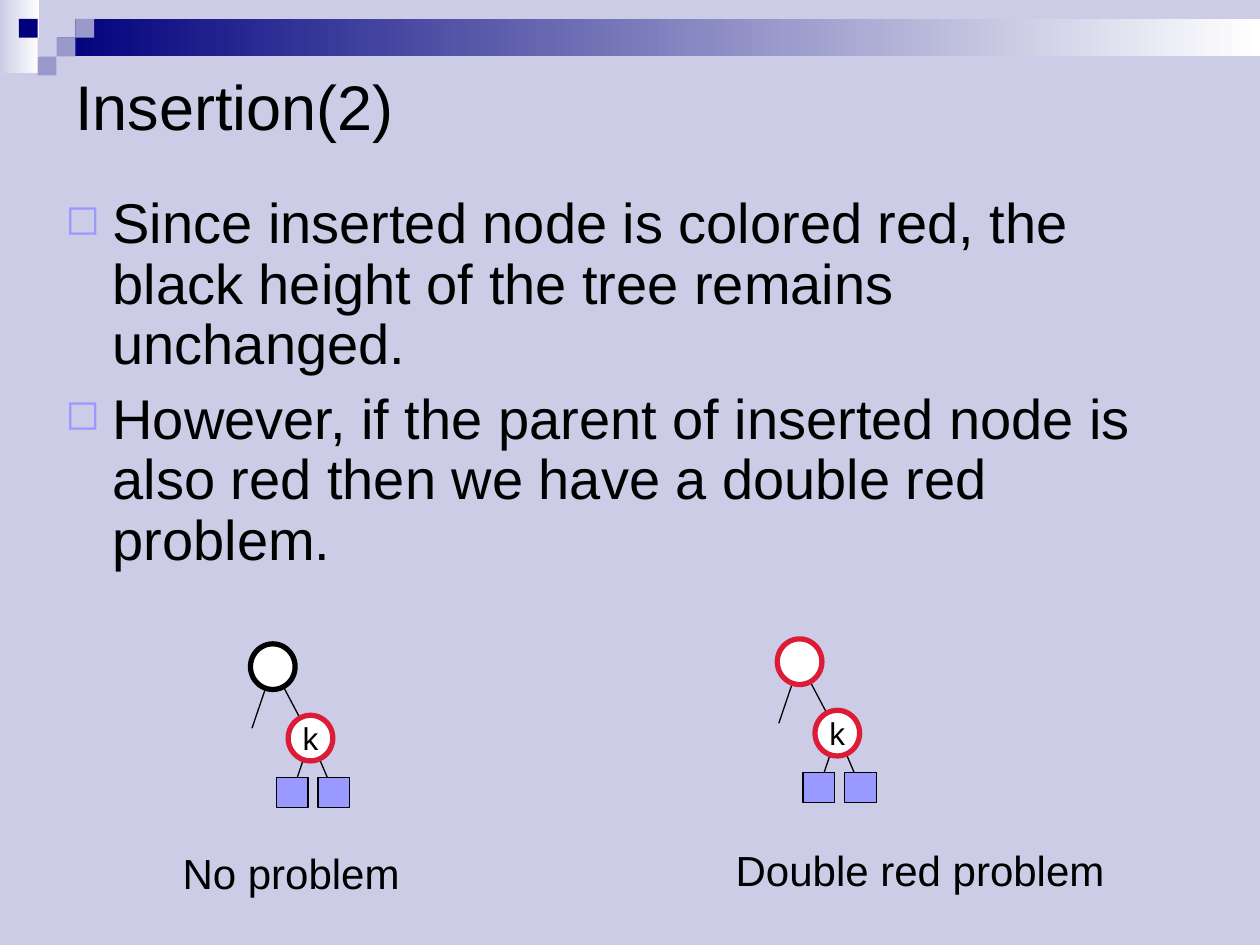
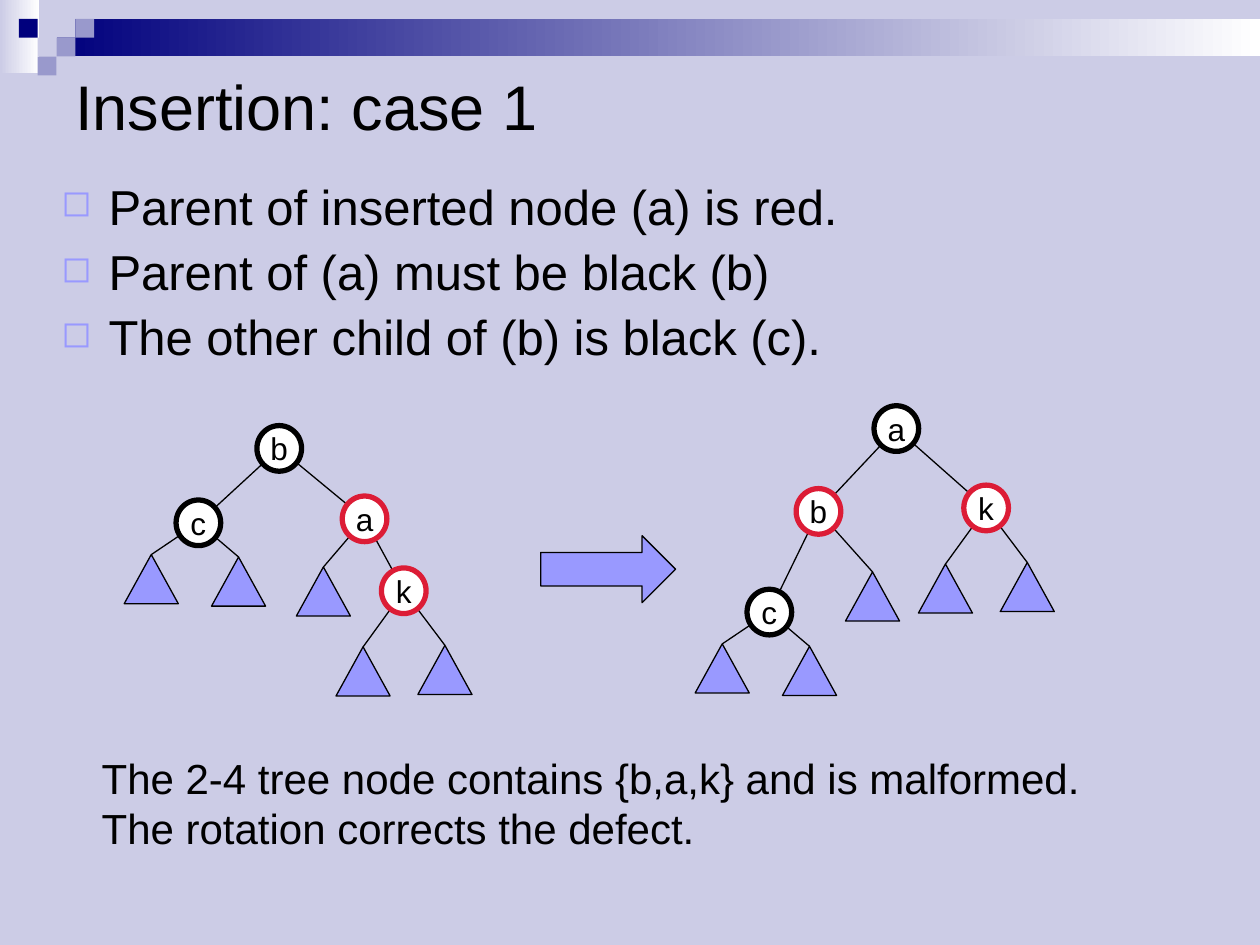
"""Build two slides on red-black tree insertion."""
import lxml.etree
import pptx
import pptx.dml.color
import pptx.enum.shapes
import pptx.enum.text
import pptx.oxml.ns
import pptx.util

Cm = pptx.util.Cm
Pt = pptx.util.Pt
RGBColor = pptx.dml.color.RGBColor
Preset = pptx.enum.shapes.MSO_SHAPE
Anchor = pptx.enum.text.MSO_ANCHOR
qn = pptx.oxml.ns.qn

LAVENDER = RGBColor(0xCC, 0xCC, 0xE6)
NAVY = RGBColor(0x00, 0x00, 0x7D)
SLATE = RGBColor(0x99, 0x99, 0xCC)
PERIWINKLE = RGBColor(0x99, 0x99, 0xFF)
RED = RGBColor(0xDC, 0x1C, 0x36)
BLACK = RGBColor(0, 0, 0)
WHITE = RGBColor(0xFF, 0xFF, 0xFF)

FONT = "Arial"
CELL = 0.38
CHECKERS = [(3, 1, LAVENDER), (4, 0, LAVENDER), (4, 1, SLATE), (2, 2, LAVENDER),
            (1, 1, NAVY), (3, 2, SLATE), (2, 3, SLATE)]
NODE_WIDTH, NODE_HEIGHT = 0.9, 0.92


def draw(page, preset, left, top, width, height, fill, line=None, weight=0.75):
    """Add a preset shape, with a plain or a two-colour fill."""
    shape = page.shapes.add_shape(preset, Cm(left), Cm(top), Cm(width), Cm(height))
    shape.shadow.inherit = False
    if isinstance(fill, tuple) and not isinstance(fill, RGBColor):
        shape.fill.gradient()
        shape.fill.gradient_angle = 180
        for stop, color in zip(shape.fill.gradient_stops, fill):
            stop.color.rgb = color
    else:
        shape.fill.solid()
        shape.fill.fore_color.rgb = fill
    if line is None:
        shape.line.fill.background()
    else:
        shape.line.color.rgb = line
        shape.line.width = Pt(weight)
    return shape


def write(page, left, top, width, height, lines, size, wrap=False, bullets=False):
    """Add a text box, one paragraph per line."""
    box = page.shapes.add_textbox(Cm(left), Cm(top), Cm(width), Cm(height))
    box.text_frame.word_wrap = wrap
    box.text_frame.text = "\n".join(lines)
    for para in box.text_frame.paragraphs:
        if bullets:
            para.line_spacing = 0.9
            para.space_before = Pt(size / 4)
            marks = para._p.get_or_add_pPr()
            marks.set("marL", str(Cm(0.95)))
            marks.set("indent", str(-Cm(0.95)))
            tint = lxml.etree.SubElement(marks, qn("a:buClr"))
            lxml.etree.SubElement(tint, qn("a:srgbClr"), val=str(PERIWINKLE))
            lxml.etree.SubElement(marks, qn("a:buSzPct"), val="75000")
            lxml.etree.SubElement(marks, qn("a:buChar"), char="◻")
        para.font.name = FONT
        para.font.size = Pt(size)
        para.font.color.rgb = BLACK
    return box


deck = pptx.Presentation()
deck.slide_width, deck.slide_height = Cm(25.4), Cm(19.05)

pages = []
for title in ["Insertion(2)", "Insertion: case 1"]:
    page = deck.slides.add_slide(deck.slide_layouts[6])
    page.background.fill.solid()
    page.background.fill.fore_color.rgb = LAVENDER
    draw(page, Preset.RECTANGLE, 0, 0, 0.79, 1.47, (WHITE, LAVENDER))
    draw(page, Preset.RECTANGLE, 3 * CELL, CELL, 24.26, 2 * CELL, (WHITE, NAVY))
    for column, row, color in CHECKERS:
        draw(page, Preset.RECTANGLE, column * CELL, row * CELL, CELL, CELL, color)
    heading = write(page, 1.27, 1.27, 22.86, 1.7, [title], 36, wrap=True)
    heading.text_frame.vertical_anchor = Anchor.MIDDLE
    pages.append(page)
problem_page, case_page = pages

write(problem_page, 1.07, 3.81, 22.86, 8.59, [
    "Since inserted node is colored red, the black height of the tree remains unchanged.",
    "However, if the parent of inserted node is also red then we have a double red problem.",
], 32, wrap=True, bullets=True)
write(problem_page, 3.43, 16.97, 4.88, 1.27, ["No problem"], 24)
write(problem_page, 14.58, 16.89, 7.95, 1.27, ["Double red problem"], 24)

write(case_page, 0.99, 3.56, 22.86, 4.01, [
    "Parent of inserted node (a) is red.",
    "Parent of (a) must be black (b)",
    "The other child of (b) is black (c).",
], 28, wrap=True, bullets=True)
draw(case_page, Preset.RIGHT_ARROW, 10.9, 10.8, 2.72, 1.35, PERIWINKLE, BLACK)
write(case_page, 1.8, 15.04, 20.4, 2.29, [
    "The 2-4 tree node contains {b,a,k} and is malformed.",
    "The rotation corrects the defect.",
], 24)

# Nodes map a label to centre, ring and parent; leaves hold a parent and an offset.
SQUARE = (Preset.RECTANGLE, 0.64, 0.61, 0.5)
TRIANGLE = (Preset.FLOWCHART_EXTRACT, 1.09, 0.99, 0)
trees = []
for x, y, ring in [(5.5, 13.44, BLACK), (16.12, 13.34, RED)]:
    nodes = {"": (x, y, ring, None), "k": (x + 0.76, y + 1.44, RED, "")}
    leaves = [("k", -0.37, 1.1), ("k", 0.47, 1.1)]
    stubs = [("", -0.42, 1.24)]
    trees.append((problem_page, nodes, SQUARE, leaves, stubs))

c_leaves = [("c", -0.95, 0.64), ("c", 0.81, 0.69)]
k_leaves = [("k", -0.82, 1.13), ("k", 0.83, 1.1)]
before = {"b": (5.63, 9.04, BLACK, None), "c": (4, 10.54, BLACK, "b"),
          "a": (7.35, 10.46, RED, "b"), "k": (8.14, 11.91, RED, "a")}
after = {"a": (18.07, 8.64, BLACK, None), "b": (16.5, 10.31, RED, "a"),
         "k": (19.88, 10.24, RED, "a"), "c": (15.51, 12.34, BLACK, "b")}
for nodes, lone_leaf in [(before, ("a", -0.83, 0.97)), (after, ("b", 1.09, 1.22))]:
    trees.append((case_page, nodes, TRIANGLE, [lone_leaf] + c_leaves + k_leaves, []))

for page, nodes, (preset, width, height, joint), leaves, stubs in trees:
    edges = [(nodes[parent][:2], (x, y))
             for x, y, ring, parent in nodes.values() if parent is not None]
    for parent, across, down in leaves + stubs:
        x, y = nodes[parent][:2]
        edges.append(((x, y), (x + across, y + down)))
    for start, end in edges:
        edge = page.shapes.add_connector(pptx.enum.shapes.MSO_CONNECTOR.STRAIGHT,
                                         *map(Cm, start + end))
        edge.line.color.rgb = BLACK
        edge.line.width = Pt(0.75)
        lxml.etree.SubElement(edge._element.spPr, qn("a:effectLst"))
    for label, (x, y, ring, parent) in nodes.items():
        node = draw(page, Preset.OVAL, x - NODE_WIDTH / 2, y - NODE_HEIGHT / 2,
                    NODE_WIDTH, NODE_HEIGHT, WHITE, ring, 3)
        if label:
            node.text_frame.word_wrap = False
            node.text_frame.vertical_anchor = Anchor.MIDDLE
            para = node.text_frame.paragraphs[0]
            para.text = label
            para.alignment = pptx.enum.text.PP_ALIGN.CENTER
            para.font.name = FONT
            para.font.size = Pt(18)
            para.font.color.rgb = BLACK
    for parent, across, down in leaves:
        x, y = nodes[parent][:2]
        draw(page, preset, x + across - width / 2, y + down - height * joint,
             width, height, PERIWINKLE, BLACK)

deck.save("out.pptx")
